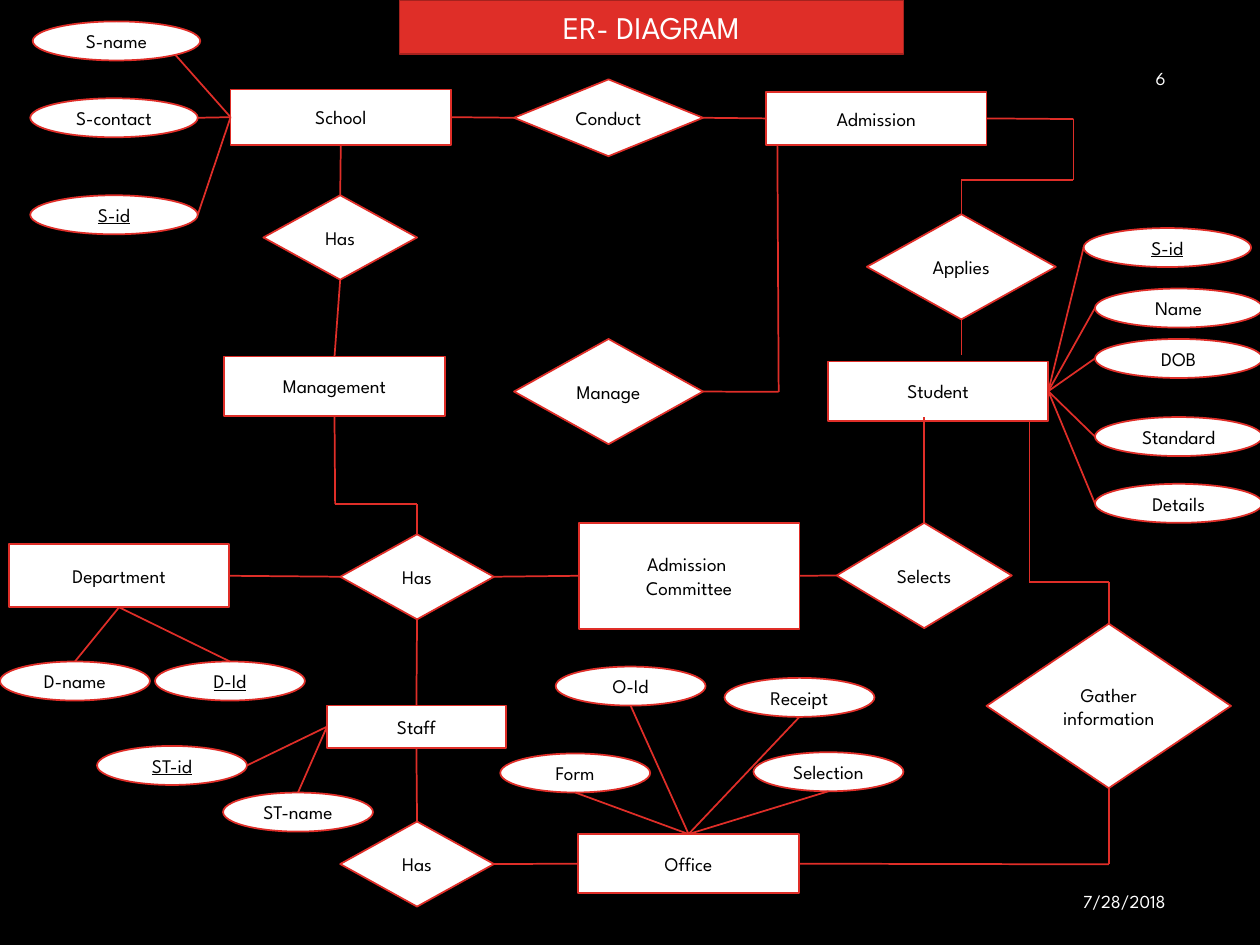
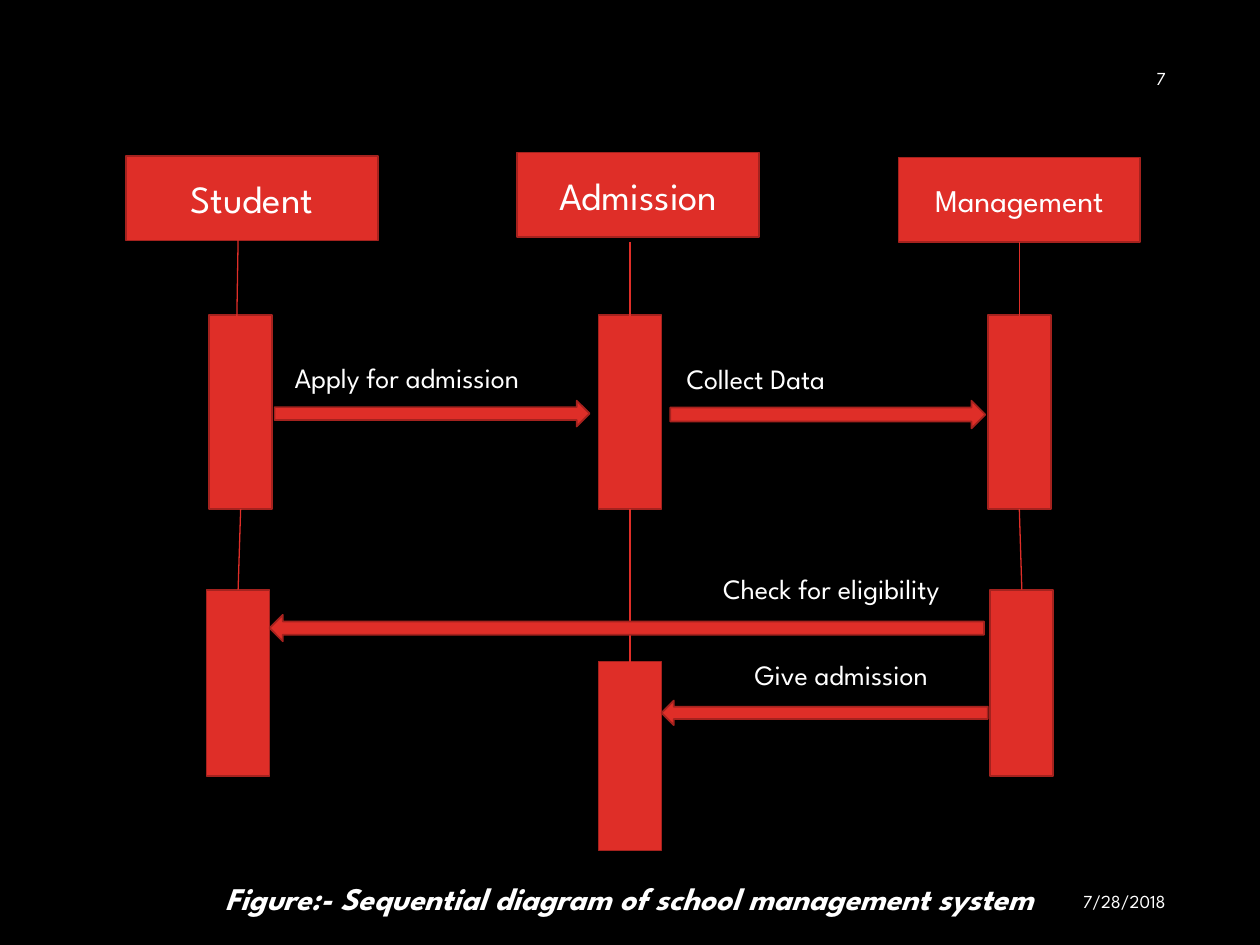
from dataclasses import dataclass
from itertools import pairwise

from lxml import etree
from pptx import Presentation
from pptx import util as u
from pptx.dml.color import RGBColor
from pptx.enum import shapes, text
from pptx.oxml import ns

SHAPE = shapes.MSO_SHAPE
ALIGN = text.PP_ALIGN
ANCHOR = text.MSO_ANCHOR


@dataclass(frozen=True)
class Theme:
    """Colours, font and type sizes shared by the slides."""
    font: str = "League Spartan"
    back: RGBColor = RGBColor(0, 0, 0)
    paper: RGBColor = RGBColor(0xFF, 0xFF, 0xFF)
    red: RGBColor = RGBColor(0xDF, 0x2E, 0x28)
    edge: RGBColor = RGBColor(0xA5, 0x22, 0x1E)
    small: float = 10.5
    node: float = 11
    message: float = 16
    title: float = 18
    head: float = 22


@dataclass(frozen=True)
class Grid:
    """A box divided into columns and rows."""
    left: int
    top: int
    width: int
    height: int
    cols: int = 100
    rows: int = 75

    def point(self, col, row):
        """Return the position of a grid point."""
        return (self.left + round(self.width * col / self.cols),
                self.top + round(self.height * row / self.rows))

    def area(self, col, row, cols, rows):
        """Return left, top, width and height of a grid area."""
        x, y = self.point(col, row)
        right, bottom = self.point(col + cols, row + rows)
        return x, y, right - x, bottom - y


THEME = Theme()
SITES = {"top": 0, "left": 1, "bottom": 2, "right": 3}
SHARES = {"top": (0.5, 0), "left": (0, 0.5), "bottom": (0.5, 1),
          "right": (1, 0.5), "lower right": (0.85, 0.85)}

ENTITIES = {
    "school": ("School", 18.3, 7.1, 17.5, 4.4),
    "admission": ("Admission", 60.8, 7.3, 17.5, 4.2),
    "student": ("Student", 65.7, 28.7, 17.5, 4.7),
    "management": ("Management", 17.8, 28.3, 17.5, 4.7),
    "committee": ("Admission \nCommittee", 45.95, 41.5, 17.5, 8.4),
    "department": ("Department", 0.7, 43.2, 17.5, 5),
    "staff": ("Staff", 25.95, 56, 14.2, 3.35),
    "office": ("Office", 45.9, 66.2, 17.5, 4.7),
}
RELATIONS = {
    "school has": ("Has", 20.9, 15.5, 12.2, 6.7),
    "conduct": ("Conduct", 40.8, 6.3, 15, 6.1),
    "applies": ("Applies", 68.8, 17, 15, 8.35),
    "manage": ("Manage", 40.8, 26.9, 15, 8.35),
    "management has": ("Has", 27, 42.4, 12.2, 6.75),
    "staff has": ("Has", 27, 65.2, 12.2, 6.75),
    "gather": ("Gather information", 78.3, 49.5, 19.4, 13.05),
    "selects": ("Selects", 66.4, 41.5, 13.9, 8.35),
}
ATTRIBUTES = {
    "school": ("left", 13.3, [
        ("S-name", 2.6, 1.7, "lower right"), ("S-contact", 2.4, 7.8, "right"),
        ("S-id", 2.4, 15.5, "right")]),
    "student": ("right", 13.3, [
        ("S-id", 86, 18.1, "left"), ("Name", 86.9, 22.9, "left"),
        ("DOB", 86.9, 26.9, "left"), ("Standard", 86.9, 33.1, "left"),
        ("Details", 86.9, 38.4, "left")]),
    "department": ("bottom", 11.9, [
        ("D-name", 0, 52.5, "top"), ("D-Id", 12.3, 52.5, "top")]),
    "staff": ("left", 11.9, [
        ("ST-id", 7.7, 59.2, "right"), ("ST-name", 17.7, 62.9, "top")]),
    "office": ("top", 11.9, [
        ("O-Id", 44.1, 52.9, "bottom"), ("Receipt", 57.5, 53.8, "bottom"),
        ("Form", 39.7, 59.8, "bottom"), ("Selection", 59.8, 59.7, "bottom")]),
}
KEYS = {"S-id", "D-Id", "ST-id"}
ROUTES = [
    [("school", "right"), ("conduct", "left")],
    [("conduct", "right"), ("admission", "left")],
    [("school", "bottom"), ("school has", "top")],
    [("school has", "bottom"), ("management", "top")],
    [("management", "bottom"), (26.6, 40), (33.1, 40), ("management has", "top")],
    [("management has", "left"), ("department", "right")],
    [("management has", "right"), ("committee", "left")],
    [("management has", "bottom"), ("staff", "top")],
    [("staff", "bottom"), ("staff has", "top")],
    [("staff has", "right"), ("office", "left")],
    [("committee", "right"), ("selects", "left")],
    [("selects", "top"), (73.35, 33.1)],
    [("admission", "right"), (85.2, 9.45), (85.2, 14.3), (76.3, 14.3), ("applies", "top")],
    [("applies", "bottom"), (76.3, 28.2)],
    [(61.7, 11.6), (61.8, 31.1), ("manage", "right")],
    [(81.7, 33.4), (81.7, 46.2), (88, 46.2), ("gather", "top")],
    [("gather", "bottom"), (88, 68.6), ("office", "right")],
]

LIFELINES = [
    ("Student", (10, 12.4, 20, 6.7), THEME.head, (16.6, 25, 5, 15.4),
     (16.4, 46.8, 5, 14.8), [(18.9, 19), (18.8, 25.1)]),
    ("Admission", (41.05, 12.1, 19.2, 6.7), THEME.head, (47.5, 25, 5, 15.4),
     (47.5, 52.5, 5, 15), [(50, 19.2), (50, 25.1)]),
    ("Management", (71.3, 12.5, 19.2, 6.7), THEME.title, (78.4, 25, 5, 15.4),
     (78.6, 46.8, 5, 14.8), [(80.9, 19.2), (80.9, 25.1)]),
]
MESSAGES = [
    ("Apply for admission", (22.4, 28.1, 25.3, 3.7), SHAPE.RIGHT_ARROW, (21.8, 31.8, 25, 2.05)),
    ("Collect Data", (53.5, 28.2, 19.2, 3.7), SHAPE.RIGHT_ARROW, (53.2, 31.8, 25, 2.2)),
    ("Check for eligibility", (56.4, 44.9, 25.5, 3.7), SHAPE.LEFT_ARROW, (21.4, 48.8, 56.7, 2.1)),
    ("Give admission", (58.9, 51.7, 19.2, 3.7), SHAPE.LEFT_ARROW, (52.5, 55.6, 25.9, 1.95)),
]


def write(tf, words, size, color, align=ALIGN.CENTER, anchor=ANCHOR.MIDDLE,
          bold=False, italic=False, underline=False):
    """Fill a text frame and format its paragraphs."""
    tf.text = words
    tf.word_wrap = True
    tf.vertical_anchor = anchor
    for p in tf.paragraphs:
        p.alignment = align
        f = p.font
        f.name, f.size, f.color.rgb = THEME.font, u.Pt(size), color
        f.bold, f.italic, f.underline = bold, italic, underline


def paint(sp, fill, line):
    """Give a shape a plain fill and a one-point line."""
    sp.fill.solid()
    sp.fill.fore_color.rgb = fill
    sp.line.color.rgb = line
    sp.line.width = u.Pt(1)


def add_block(s, grid, kind, area, fill=THEME.red, line=THEME.edge):
    """Add a flat preset shape."""
    sp = s.shapes.add_shape(kind, *grid.area(*area))
    sp.shadow.inherit = False
    paint(sp, fill, line)
    return sp


def add_node(s, grid, kind, words, *area):
    """Add a white labelled node of the ER diagram."""
    sp = add_block(s, grid, kind, area, THEME.paper, THEME.red)
    write(sp.text_frame, words, THEME.node, THEME.back, underline=words in KEYS)
    return sp


def add_label(s, grid, words, area, size, **style):
    """Add white text in a box."""
    tb = s.shapes.add_textbox(*grid.area(*area))
    write(tb.text_frame, words, size, THEME.paper, **style)


def locate(grid, end):
    """Return the position of a grid point or of a shape's side."""
    first, second = end
    if isinstance(second, str):
        across, down = SHARES[second]
        return (first.left + round(first.width * across),
                first.top + round(first.height * down))
    return grid.point(first, second)


def add_line(s, grid, start, end, width=1):
    """Draw a straight line, joined to the rectangles and diamonds it meets."""
    cx = s.shapes.add_connector(shapes.MSO_CONNECTOR.STRAIGHT,
                                *locate(grid, start), *locate(grid, end))
    for join, (target, side) in ((cx.begin_connect, start), (cx.end_connect, end)):
        if side in SITES and target.auto_shape_type != SHAPE.OVAL:
            join(target, SITES[side])
    cx.line.color.rgb = THEME.red
    cx.line.width = u.Pt(width)
    etree.SubElement(cx._element.spPr, ns.qn("a:effectLst"))


def add_page(prs, grid, layout, number):
    """Add a black slide with its date and page number."""
    s = prs.slides.add_slide(prs.slide_layouts.get_by_name(layout))
    s.background.fill.solid()
    s.background.fill.fore_color.rgb = THEME.back
    add_label(s, grid, "7/28/2018", (70.1, 69.5, 23.4, 4), THEME.small, align=ALIGN.RIGHT)
    add_label(s, grid, number, (71.9, 4.2, 21.6, 4), THEME.small, align=ALIGN.RIGHT)
    return s


def place_title(s, grid, words, area):
    """Turn the title placeholder into a red banner."""
    title = s.shapes.title
    title.left, title.top, title.width, title.height = grid.area(*area)
    paint(title, THEME.red, THEME.edge)
    write(title.text_frame, words, THEME.title, THEME.paper)
    title.text_frame.auto_size = text.MSO_AUTO_SIZE.NONE


def place_er_diagram(s, grid):
    """Place entities, relations and attributes, and link them."""
    nodes = {}
    for kind, group in ((SHAPE.RECTANGLE, ENTITIES), (SHAPE.FLOWCHART_DECISION, RELATIONS)):
        for name, node in group.items():
            nodes[name] = add_node(s, grid, kind, *node)
    for owner, (owner_side, width, items) in ATTRIBUTES.items():
        for words, col, row, side in items:
            oval = add_node(s, grid, SHAPE.OVAL, words, col, row, width, 3.1)
            add_line(s, grid, (oval, side), (nodes[owner], owner_side))
    for route in ROUTES:
        ends = [(nodes.get(first, first), second) for first, second in route]
        for start, end in pairwise(ends):
            add_line(s, grid, start, end)


def place_sequence(s, grid):
    """Place lifelines with their activations, messages and caption."""
    for name, head, size, early, late, stem in LIFELINES:
        sp = add_block(s, grid, SHAPE.RECTANGLE, head)
        write(sp.text_frame, name, size, THEME.paper)
        first, second = (add_block(s, grid, SHAPE.RECTANGLE, bar) for bar in (early, late))
        add_line(s, grid, *stem, width=0.75)
        add_line(s, grid, (first, "bottom"), (second, "top"), width=0.75)
    for words, label, kind, arrow in MESSAGES:
        add_block(s, grid, kind, arrow)
        add_label(s, grid, words, label, THEME.message, align=ALIGN.LEFT, anchor=ANCHOR.TOP)
    add_label(s, grid, "Figure:- Sequential diagram of school management system",
              (11.2, 69.3, 77.5, 4), THEME.title, anchor=ANCHOR.TOP, bold=True, italic=True)


def main():
    """Build both slides and save them."""
    prs = Presentation()
    prs.slide_width, prs.slide_height = u.Inches(10), u.Inches(7.5)
    grid = Grid(0, 0, prs.slide_width, prs.slide_height)
    er = add_page(prs, grid, "Title Only", "6")
    place_title(er, grid, "ER- DIAGRAM", (31.7, 0, 40, 4.3))
    place_er_diagram(er, grid)
    place_sequence(add_page(prs, grid, "Blank", "7"), grid)
    prs.save("out.pptx")


if __name__ == "__main__":
    main()
